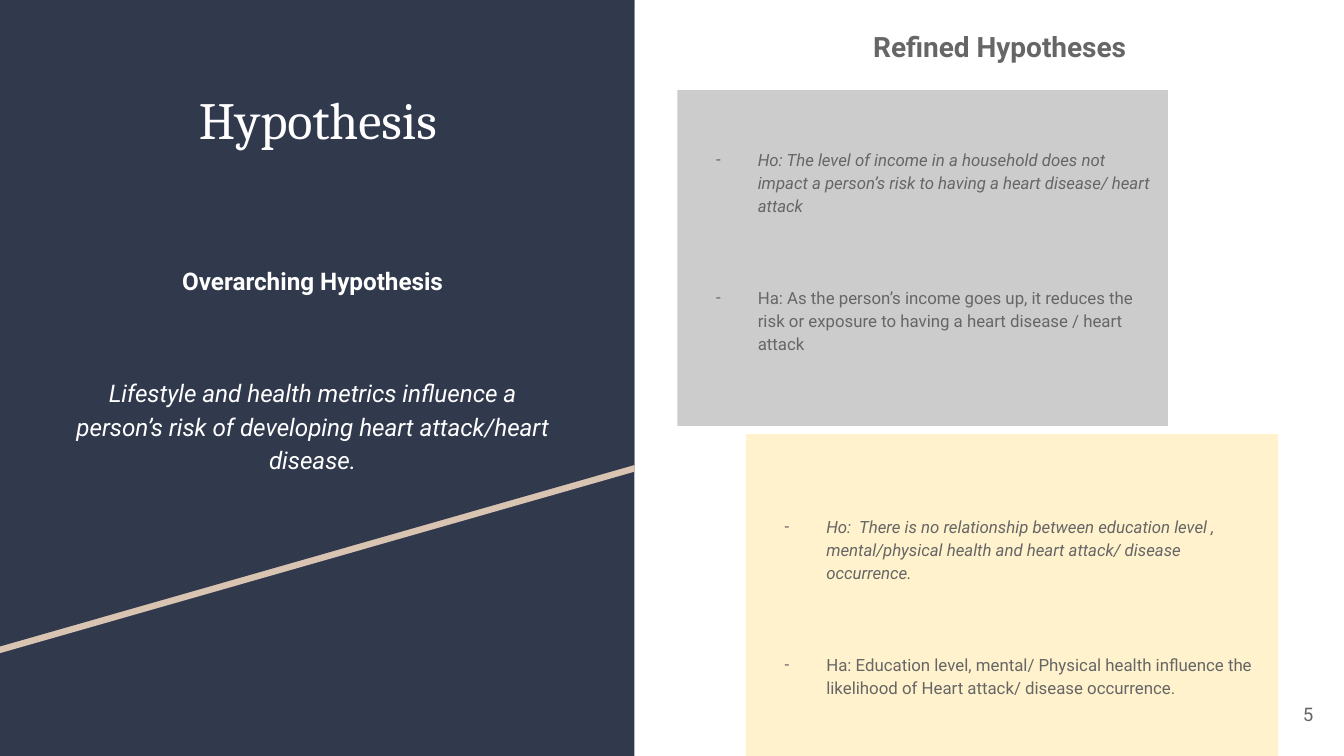
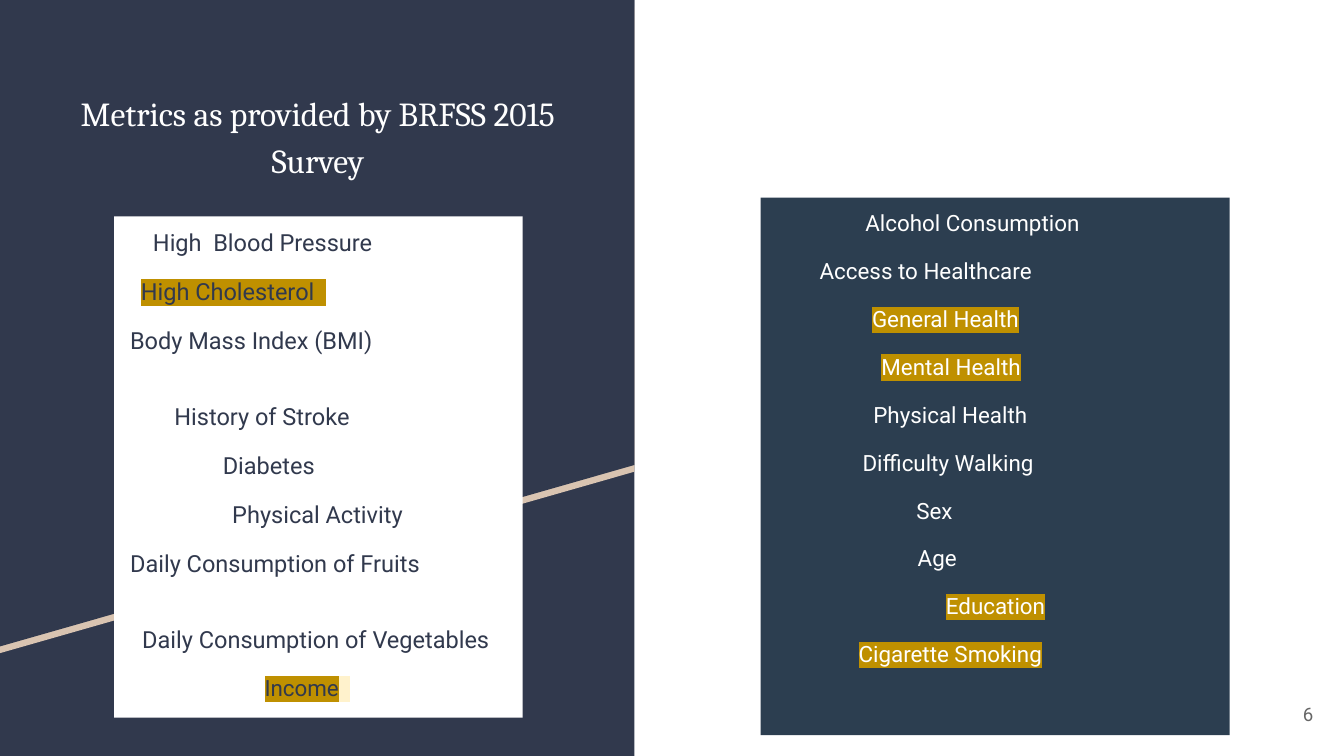
from lxml import etree
from pptx import Presentation
from pptx.dml.color import RGBColor
from pptx.enum import shapes, text
from pptx.oxml.ns import qn
from pptx.util import Inches, Pt

NAVY, SAND, GREY, WHITE = "31394D", "D9C4B1", "666666", "FFFFFF"
SLATE, SILVER, CREAM, GOLD = "2C3E50", "CCCCCC", "FFF2CC", "BF9000"
SERIF, SANS = "Cambria", "Roboto"
LEFT, CENTER, RIGHT = text.PP_ALIGN.LEFT, text.PP_ALIGN.CENTER, text.PP_ALIGN.RIGHT
PANEL_W, SLIDE_W = 4.72, 10
SLIDE_H = SLIDE_W * 9 / 16


def rgb(value):
    return RGBColor.from_string(value)


def add_run(p, words, size=12, font=SANS, color=GREY, bold=False, italic=False, mark=None):
    r = p.add_run()
    r.text = words
    f = r.font
    f.size, f.bold, f.italic = Pt(size), bold, italic
    f.color.rgb = rgb(color)
    f.name = font
    if mark:
        hl = etree.Element(qn("a:highlight"))
        etree.SubElement(hl, qn("a:srgbClr"), val=mark)
        r._r.get_or_add_rPr().find(qn("a:latin")).addprevious(hl)


class Deck:
    """Holds the shared style and the current slide."""

    def __init__(self):
        self.prs = Presentation()
        self.prs.slide_width, self.prs.slide_height = Inches(SLIDE_W), Inches(SLIDE_H)
        self.s = None

    def new_slide(self, number):
        self.s = self.prs.slides.add_slide(self.prs.slide_layouts[6])
        # Dark left panel with a slanted stripe
        self.rect(0, 0, PANEL_W, SLIDE_H, NAVY)
        for top, color in ((0.05, SAND), (0, NAVY)):
            self.polygon([(0, top), (PANEL_W, top), (PANEL_W, 3.46 + top), (0, 4.81 + top)], color)
        # Page number
        tf = self.frame(self.box(9.27, 5.1, 0.6, 0.43), anchor=text.MSO_ANCHOR.MIDDLE)
        self.para(tf, number, align=RIGHT, size=10)

    def plain(self, sp, fill):
        sp.shadow.inherit = False
        sp.fill.solid()
        sp.fill.fore_color.rgb = rgb(fill)
        sp.line.fill.background()
        return sp

    def rect(self, x, y, w, h, fill):
        sp = self.s.shapes.add_shape(shapes.MSO_SHAPE.RECTANGLE,
                                     Inches(x), Inches(y), Inches(w), Inches(h))
        return self.plain(sp, fill)

    def polygon(self, points, fill):
        pts = [(Inches(x), Inches(y)) for x, y in points]
        fb = self.s.shapes.build_freeform(*pts[0])
        fb.add_line_segments(pts[1:], close=True)
        return self.plain(fb.convert_to_shape(), fill)

    def box(self, x, y, w, h):
        return self.s.shapes.add_textbox(Inches(x), Inches(y), Inches(w), Inches(h))

    def frame(self, sp, top=0.1, right=0.1, anchor=text.MSO_ANCHOR.TOP):
        tf = sp.text_frame
        tf.word_wrap = True
        tf.vertical_anchor = anchor
        tf.margin_left = tf.margin_bottom = Inches(0.1)
        tf.margin_top, tf.margin_right = Inches(top), Inches(right)
        return tf

    def para(self, tf, words, align=LEFT, spacing=1.0, before=0, indent=0, hang=0, bullet=None, **fmt):
        p = tf.paragraphs[0]
        if p.runs:
            p = tf.add_paragraph()
        p.alignment, p.line_spacing, p.space_before = align, spacing, Pt(before)
        pPr = p._p.get_or_add_pPr()
        pPr.set("marL", str(Inches(indent)))
        pPr.set("indent", str(Inches(-hang)))
        if bullet:
            clr = etree.SubElement(pPr, qn("a:buClr"))
            etree.SubElement(clr, qn("a:srgbClr"), val=GREY)
            etree.SubElement(pPr, qn("a:buSzPts"), val=str(fmt["size"] * 100))
            etree.SubElement(pPr, qn("a:buFont"), typeface=SANS)
            etree.SubElement(pPr, qn("a:buChar"), char=bullet)
        add_run(p, words, **fmt)
        return p

    def title(self, words, size, spacing=1.0):
        tf = self.frame(self.box(0.34, 0.55, 4.05, 2.74))
        self.para(tf, words, align=CENTER, spacing=spacing, size=size, font=SERIF, color=WHITE)

    def hypotheses(self, x, y, w, h, fill, top, null, alternative):
        tf = self.frame(self.rect(x, y, w, h, fill), top=top)
        for words, italic, before in ((null, True, 0), (alternative, False, 36.5)):
            self.para(tf, words, spacing=1.15, before=before, indent=0.5, hang=0.31,
                      bullet="-", size=9, italic=italic)

    def metrics(self, x, y, w, h, fill, items, color, size):
        """Each item is (indent, words, highlight, extra space before)."""
        tf = self.frame(self.rect(x, y, w, h, fill))
        for i, (indent, words, mark, extra) in enumerate(items):
            p = self.para(tf, words, spacing=0.95, before=12 * (i > 0) + extra, indent=indent,
                          size=size, color=color, mark=mark)
        return p


def hypothesis_slide(d):
    d.new_slide("5")
    d.title("Hypothesis", 28)

    # Overarching hypothesis
    tf = d.frame(d.box(0.38, 1.47, 3.89, 3.93), top=0.48)
    style = dict(align=CENTER, spacing=1.15, size=13, color=WHITE)
    d.para(tf, "Overarching Hypothesis", bold=True, **style)
    d.para(tf, "Lifestyle and health metrics influence a person’s risk of developing "
               "heart attack/heart disease.", italic=True, before=42, **style)

    # Refined hypotheses
    d.hypotheses(5.55, 3.23, 3.96, 2.4, CREAM, 0.59,
                 "Ho:  There is no relationship between education level , mental/physical health "
                 "and heart attack/ disease occurrence.",
                 "Ha: Education level, mental/ Physical health influence the likelihood of "
                 "Heart attack/ disease occurrence.")
    d.hypotheses(5.04, 0.67, 3.65, 2.5, SILVER, 0.42,
                 "Ho: The level of income in a household does not impact a person’s risk to "
                 "having a heart disease/ heart attack",
                 "Ha: As the person’s income goes up, it reduces the risk or exposure to having "
                 "a heart disease / heart attack")
    tf = d.frame(d.box(5.38, 0.08, 4.22, 0.45), right=0.2)
    d.para(tf, "Refined Hypotheses", align=CENTER, spacing=1.15, size=15, bold=True)


def metrics_slide(d):
    d.new_slide("6")
    d.title("Metrics as provided by BRFSS 2015 Survey", 18, spacing=1.15)

    # Health and lifestyle metrics
    gap = 14.2
    income = d.metrics(0.85, 1.61, 3.04, 3.73, WHITE, [
        (0.19, "High  Blood Pressure", None, 0),
        (0.10, "High Cholesterol  ", GOLD, 0),
        (0.02, "Body Mass Index (BMI)", None, 0),
        (0.35, "History of Stroke", None, gap),
        (0.71, "Diabetes", None, 0),
        (0.78, "Physical Activity", None, 0),
        (0.02, "Daily Consumption of Fruits", None, 0),
        (0.11, "Daily Consumption of Vegetables", None, gap),
        (1.02, "Income", GOLD, 0),
    ], NAVY, 12.6)
    income.runs[0].font.size = Pt(12)
    add_run(income, "  ", color=NAVY, mark=CREAM)

    # Access, condition and demographic metrics
    d.metrics(5.66, 1.47, 3.49, 4, SLATE, [
        (0.68, "Alcohol Consumption", None, 0),
        (0.34, "Access to Healthcare", None, 0),
        (0.73, "General Health", GOLD, 0),
        (0.80, "Mental Health", GOLD, 0),
        (0.74, "Physical Health", None, 0),
        (0.66, "Difficulty Walking", None, 0),
        (1.06, "Sex", None, 0),
        (1.07, "Age", None, 0),
        (1.28, "Education", GOLD, 0),
        (0.63, "Cigarette Smoking", GOLD, 0),
    ], WHITE, 12)


def main():
    d = Deck()
    hypothesis_slide(d)
    metrics_slide(d)
    d.prs.save("out.pptx")


if __name__ == "__main__":
    main()
